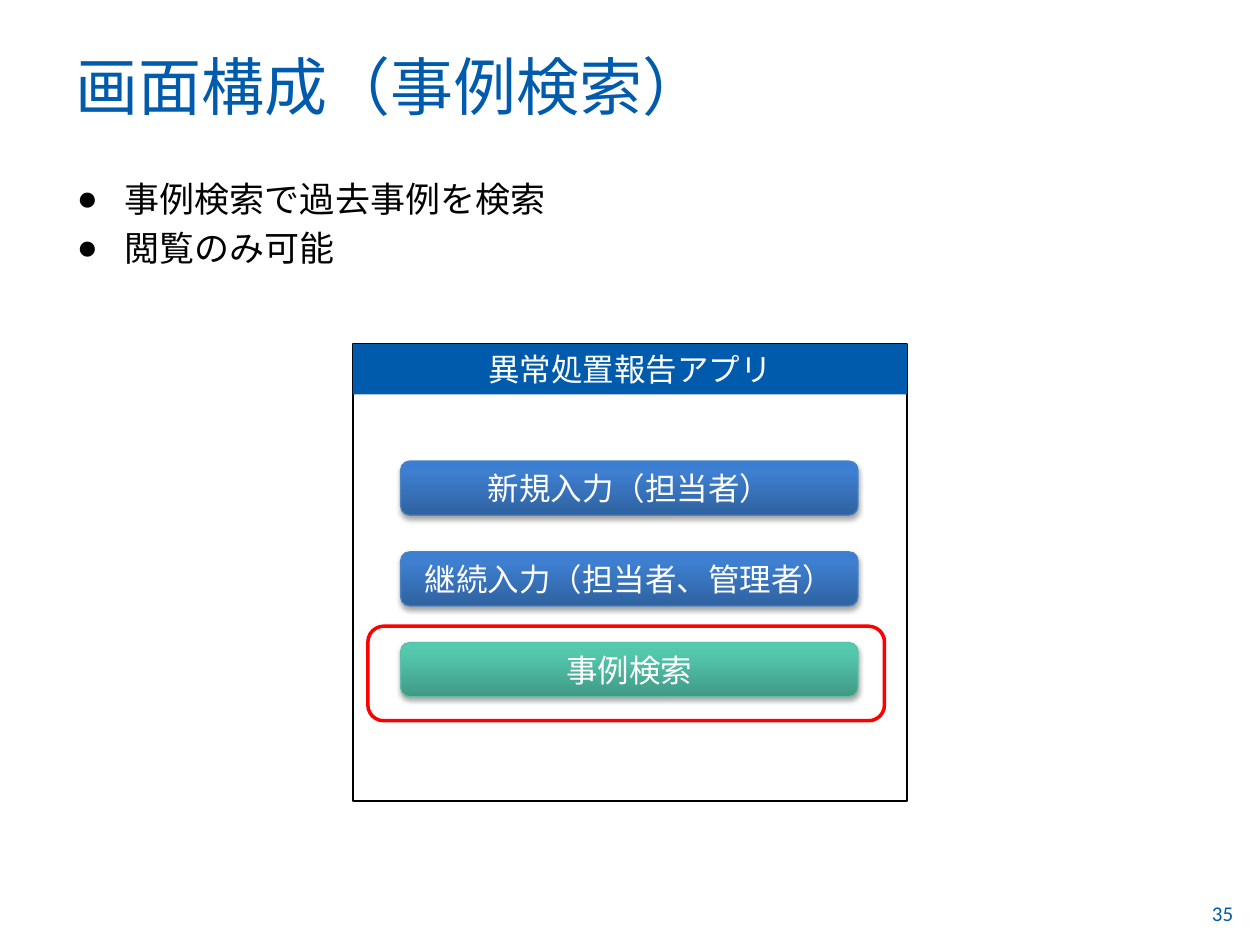
from copy import deepcopy

from lxml import etree
from pptx import Presentation
from pptx import util as u
from pptx.dml.color import RGBColor
from pptx.enum import shapes, text
from pptx.oxml import ns, parse_xml

WIDTH, HEIGHT = u.Inches(10), u.Inches(7.5)
FONT = "Calibri"
COLORS = {"brand": "005BAC", "ink": "000000", "paper": "FFFFFF", "mark": "FF0000"}
BLUE = {"stops": ["2F62A0", "3E7FD0", "3B7FD4"], "line": "4C82C3"}
GREEN = {"stops": ["409A85", "54C7AD", "52CBAF"], "line": "60BEA8"}
STOP_POSITIONS = [0, 0.8, 1]
BUTTONS = [
    ("新規入力（担当者）", BLUE),
    ("継続入力（担当者、管理者）", BLUE),
    ("事例検索", GREEN),
]
BUTTON_TOP, BUTTON_PITCH = 48.8, 9.6
SHADOW = (
    f'<a:outerShdw {ns.nsdecls("a")} blurRad="40000" dist="23000" dir="5400000" rotWithShape="0">'
    '<a:srgbClr val="000000"><a:alpha val="35000"/></a:srgbClr></a:outerShdw>'
)


def area(left, top, width, height):
    """Turn percentages of the slide's size into lengths."""
    return [
        u.Emu(round(share * side / 100))
        for share, side in zip((left, top, width, height), (WIDTH, HEIGHT) * 2)
    ]


def color(value):
    """Look up a named colour, or read a hex string."""
    return RGBColor.from_string(COLORS.get(value, value))


def write(box, lines, size, ink, align=None, anchor=text.MSO_ANCHOR.TOP):
    """Fill a box with paragraphs in one style."""
    frame = box.text_frame
    frame.word_wrap = True
    frame.auto_size = text.MSO_AUTO_SIZE.NONE
    frame.vertical_anchor = anchor
    frame.text = "\n".join(lines)
    for para in frame.paragraphs:
        para.alignment = align
        for span in para.runs:
            span.font.name = FONT
            span.font.size = u.Pt(size)
            span.font.color.rgb = color(ink)


def place(box, *shares):
    """Move a placeholder to an area of the slide."""
    box.left, box.top, box.width, box.height = area(*shares)
    return box


def add_bullets(box):
    """Give each paragraph a round bullet and a hanging indent."""
    for index, para in enumerate(box.text_frame.paragraphs):
        props = para._p.get_or_add_pPr()
        props.set("marL", str(u.Inches(0.38)))
        props.set("indent", str(-u.Inches(0.38)))
        etree.SubElement(props, ns.qn("a:buChar")).set("char", "●")
        if index == 0:
            para.space_before = u.Pt(0)


def add_panel(page, kind, shares, fill=None, line=None, weight=1):
    """Add a flat shape with an optional fill and outline."""
    panel = page.shapes.add_shape(kind, *area(*shares))
    panel.shadow.inherit = False
    if fill:
        panel.fill.solid()
        panel.fill.fore_color.rgb = color(fill)
    else:
        panel.fill.background()
    if line:
        panel.line.color.rgb = color(line)
        panel.line.width = u.Pt(weight)
    else:
        panel.line.fill.background()
    return panel


def add_button(page, label, theme, top):
    """Add a glossy rounded button with a soft shadow."""
    button = add_panel(page, shapes.MSO_SHAPE.ROUNDED_RECTANGLE,
                       (31.8, top, 36.3, 5.73), line=theme["line"], weight=0.75)
    button.fill.gradient()
    button.fill.gradient_angle = 90
    props = button._element.spPr
    stop_list = props.find(".//" + ns.qn("a:gsLst"))
    stop_list.append(deepcopy(stop_list[0]))
    for stop, tint, position in zip(button.fill.gradient_stops, theme["stops"], STOP_POSITIONS):
        stop.color.rgb = color(tint)
        stop.position = position
    props.find(ns.qn("a:effectLst")).append(parse_xml(SHADOW))
    write(button, [label], 18, "paper", text.PP_ALIGN.CENTER, text.MSO_ANCHOR.MIDDLE)


def add_app_window(page):
    """Draw the app's menu screen with the search button marked."""
    box, rounded = shapes.MSO_SHAPE.RECTANGLE, shapes.MSO_SHAPE.ROUNDED_RECTANGLE
    add_panel(page, box, (28, 36.4, 44, 48.4), line="ink")
    header = add_panel(page, box, (28, 36.4, 44, 5.33), fill="brand")
    write(header, ["異常処置報告アプリ"], 18, "paper", text.PP_ALIGN.CENTER)
    for row, (label, theme) in enumerate(BUTTONS):
        add_button(page, label, theme, BUTTON_TOP + row * BUTTON_PITCH)
    add_panel(page, rounded, (29.2, 66.27, 41, 10), line="mark", weight=2)


def main():
    """Build the slide and save it."""
    deck = Presentation()
    deck.slide_width, deck.slide_height = WIDTH, HEIGHT
    page = deck.slides.add_slide(deck.slide_layouts[1])
    title = place(page.shapes.title, 5, 3.47, 90, 10.27)
    write(title, ["画面構成（事例検索）"], 36, "brand", text.PP_ALIGN.LEFT, text.MSO_ANCHOR.BOTTOM)
    body = place(page.placeholders[1], 5.1, 18.13, 90, 13.87)
    write(body, ["事例検索で過去事例を検索", "閲覧のみ可能"], 20, "ink")
    add_bullets(body)
    add_app_window(page)
    number = page.shapes.add_textbox(*area(95.2, 94.67, 4.8, 5.33))
    write(number, ["35"], 12, "brand")
    deck.save("out.pptx")


if __name__ == "__main__":
    main()
